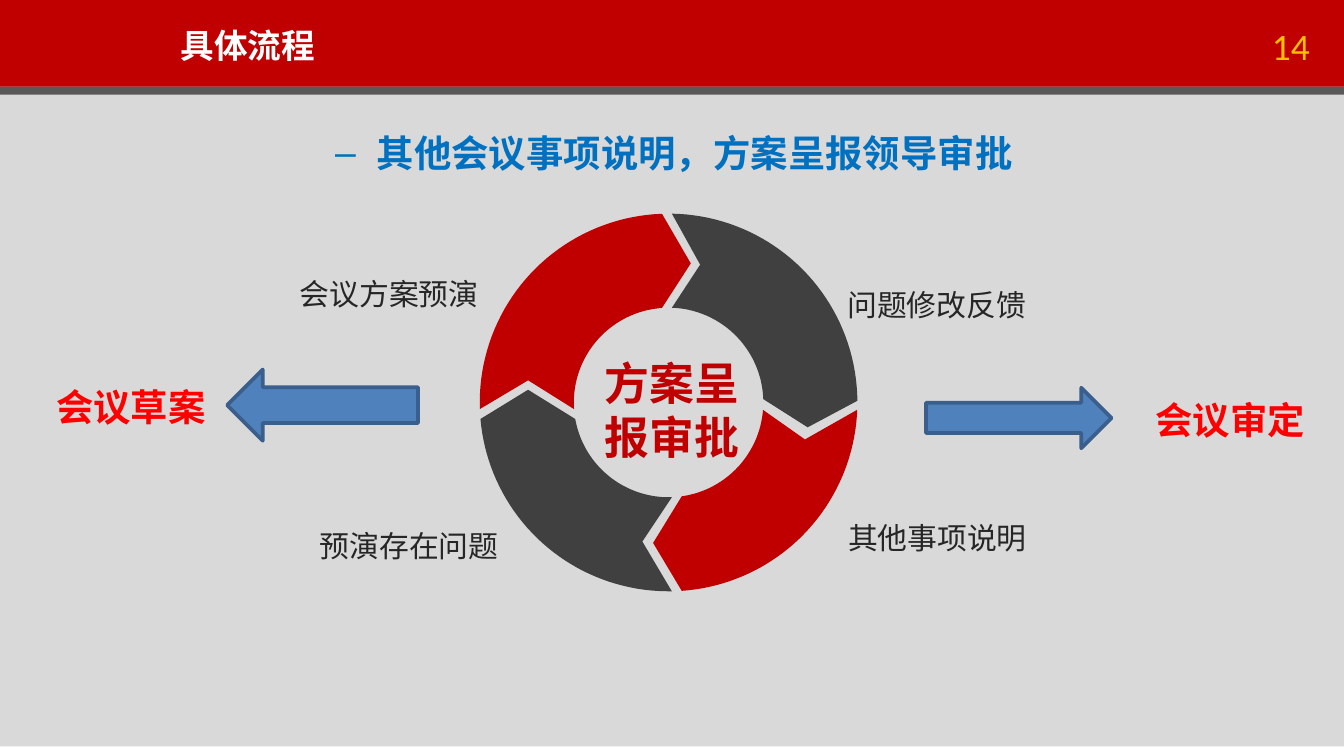
import math

from lxml import etree
from pptx import Presentation
from pptx import util as u
from pptx.dml.color import RGBColor
from pptx.enum import shapes, text
from pptx.oxml.ns import qn

# Positions are columns and rows of a square grid, 100 columns to the slide width.
CELL = u.Inches(0.1)
COLUMNS = 100
ROWS = COLUMNS * 9 / 16
CENTER = (49.75, 29.95)
OUTER, INNER = 14.05, 7.05
CJK = "Noto Sans CJK SC"
COLORS = {
    "background": "D9D9D9", "red": "C00000", "rule": "595959", "dark": "404040",
    "white": "FFFFFF", "gold": "FFC000", "body": "262626", "bright": "FF0000",
    "heading": "0070C0", "arrow": "4F81BD", "arrow_edge": "3A5F8C",
}

# Top, height, colour of the full-width bands
BANDS = [(-0.7, ROWS, "background"), (0, 6.3, "red"), (6.45, 0.6, "rule"),
         (0.15, 6.3, "red")]
# Colour, outer angles, tip, inner angles, notch; angles run clockwise from the top.
RING = [
    ("dark", (1, 89.5), (60.1, 31.8), (88, 2), (52.1, 19.7)),
    ("red", (268, 358), (51.4, 19.6), (356, 266), (39.3, 28.3)),
    ("dark", (179, 265), (39.3, 29), (260, 178), (47.8, 40.3)),
    ("red", (92.2, 176), (48.6, 40.4), (172, 94.5), (59.9, 32.7)),
]
# Wording, box, indent in columns
LABELS = [
    ("会议方案预演", (19.4, 15.95, 29.5, 11), 2),
    ("问题修改反馈", (58.7, 17.15, 28.7, 10.2), 3.45),
    ("预演存在问题", (21.9, 34.35, 29.5, 11.7), 1),
    ("其他事项说明", (60.2, 34.1, 28.7, 11), 2),
]
OUTCOMES = [
    ("会议草案", (3.2, 28.1, 13.4, 4.4),
     shapes.MSO_SHAPE.LEFT_ARROW, (16.9, 27.5, 14.2, 5.3)),
    ("会议审定", (85, 29.05, 13.4, 4.4),
     shapes.MSO_SHAPE.RIGHT_ARROW, (68.9, 28.85, 13.8, 4.5)),
]


def cells(*values):
    return [round(value * CELL) for value in values]


def color(name):
    return RGBColor.from_string(COLORS[name])


def paint(shape, fill, line=None):
    shape.shadow.inherit = False
    shape.fill.solid()
    shape.fill.fore_color.rgb = color(fill)
    if line:
        shape.line.color.rgb = color(line)
        shape.line.width = u.Pt(2)
    else:
        shape.line.fill.background()


def add_shape(slide, kind, box, fill, line=None):
    paint(slide.shapes.add_shape(kind, *cells(*box)), fill, line)


def write(shape, wording, size, ink, font=CJK, bold=False, align=text.PP_ALIGN.LEFT,
          anchor=text.MSO_ANCHOR.TOP, wrap=True, spacing=None, margins=None,
          indent=0, hanging=0, bullet=None):
    frame = shape.text_frame
    frame.auto_size = text.MSO_AUTO_SIZE.NONE
    frame.word_wrap = wrap
    frame.vertical_anchor = anchor
    if margins is not None:
        frame.margin_left = frame.margin_right = u.Inches(margins[0])
        frame.margin_top = frame.margin_bottom = u.Inches(margins[1])
    paragraph = frame.paragraphs[0]
    paragraph.alignment = align
    if spacing:
        paragraph.line_spacing = spacing
    properties = paragraph._p.get_or_add_pPr()
    if indent:
        properties.set("marL", str(cells(indent)[0]))
        properties.set("indent", str(cells(hanging)[0]))
    if bullet:
        etree.SubElement(properties, qn("a:buFont")).set("typeface", "Arial")
        etree.SubElement(properties, qn("a:buChar")).set("char", bullet)
    run = paragraph.add_run()
    run.text = wording
    run.font.name = font
    run.font.size = u.Pt(size)
    run.font.bold = bold
    run.font.color.rgb = color(ink)
    etree.SubElement(run._r.get_or_add_rPr(), qn("a:ea")).set("typeface", CJK)


def add_text(slide, box, wording, size, ink, **form):
    write(slide.shapes.add_textbox(*cells(*box)), wording, size, ink, **form)


def add_title(slide, box, wording):
    title = slide.shapes.title
    title.left, title.top, title.width, title.height = cells(*box)
    slide.shapes._spTree.append(title._element)  # in front of the header band
    write(title, wording, 18, "white", bold=True, wrap=False,
          align=text.PP_ALIGN.CENTER, margins=(0.1, 0.05))


def arc(radius, start, end, steps=40):
    angles = [math.radians(start + (end - start) * i / steps) for i in range(steps + 1)]
    return [(CENTER[0] + radius * math.sin(a), CENTER[1] - radius * math.cos(a))
            for a in angles]


def add_ring_segment(slide, fill, outer, tip, inner, notch):
    outline = [*arc(OUTER, *outer), tip, *arc(INNER, *inner), notch]
    points = [cells(*point) for point in outline]
    builder = slide.shapes.build_freeform(*points[0], scale=1.0)
    builder.add_line_segments(points[1:], close=True)
    paint(builder.convert_to_shape(), fill)


def main():
    presentation = Presentation()
    presentation.slide_width, presentation.slide_height = cells(COLUMNS, ROWS)
    slide = presentation.slides.add_slide(presentation.slide_layouts[5])
    center, middle = text.PP_ALIGN.CENTER, text.MSO_ANCHOR.MIDDLE

    for top, height, fill in BANDS:
        add_shape(slide, shapes.MSO_SHAPE.RECTANGLE, (0, top, COLUMNS, height), fill)
    add_title(slide, (12.4, 1.35, 12.1, 4), "具体流程")
    add_text(slide, (94.3, 1.9, 3.5, 3), "14", 20, "gold", font="Calibri",
             align=center, anchor=middle, wrap=False, margins=(0, 0))

    for segment in RING:
        add_ring_segment(slide, *segment)
    add_text(slide, (43.3, 26.05, 13.4, 8.8), "方案呈报审批", 24, "red", bold=True,
             align=center, margins=(0.07, 0.04))
    for wording, box, indent in LABELS:
        add_text(slide, box, wording, 16, "body", anchor=middle, spacing=1.3,
                 margins=(0.09, 0.05), indent=indent)

    for wording, box, arrow, arrow_box in OUTCOMES:
        add_shape(slide, arrow, arrow_box, "arrow", "arrow_edge")
        add_text(slide, box, wording, 20, "bright", font="Calibri", bold=True)
    add_text(slide, (14.6, 9.2, 66.1, 4.4), "其他会议事项说明，方案呈报领导审批", 20,
             "heading", bold=True, align=center, indent=8.1, hanging=-3.1, bullet="–")

    presentation.save("out.pptx")


if __name__ == "__main__":
    main()
